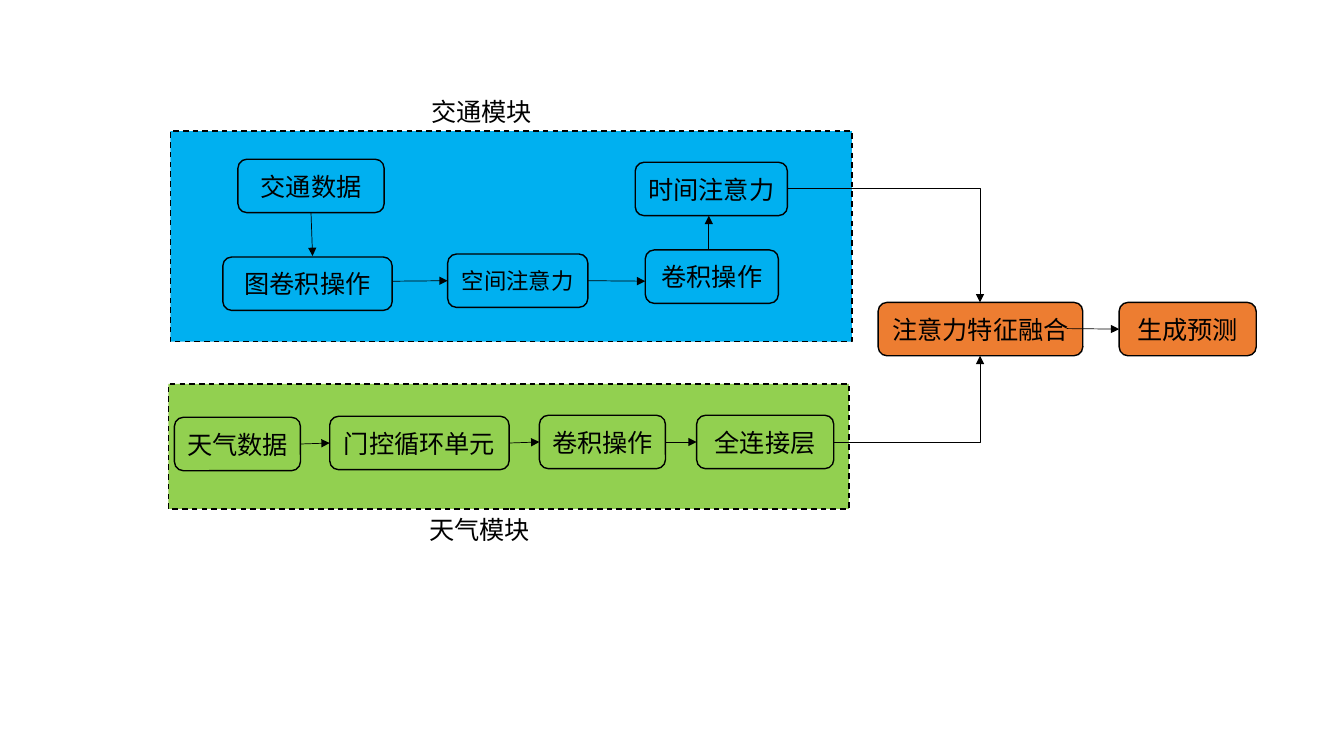
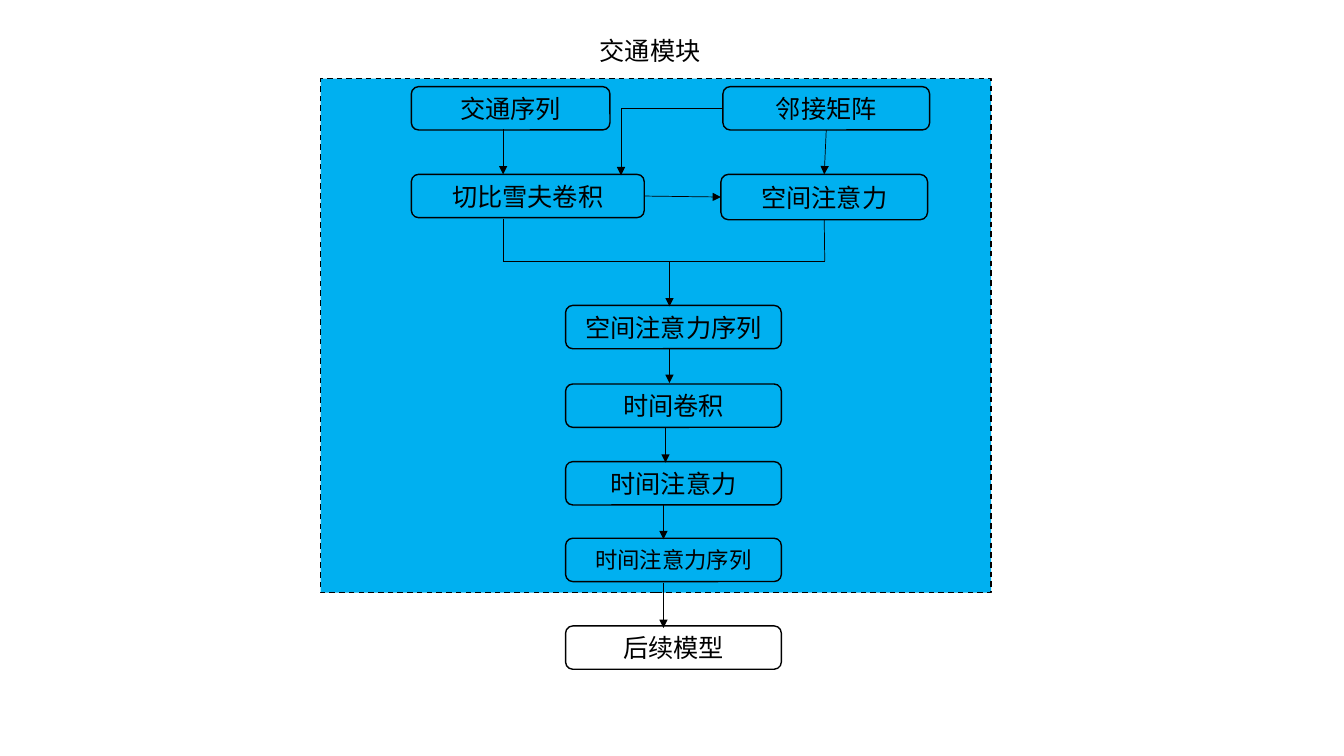
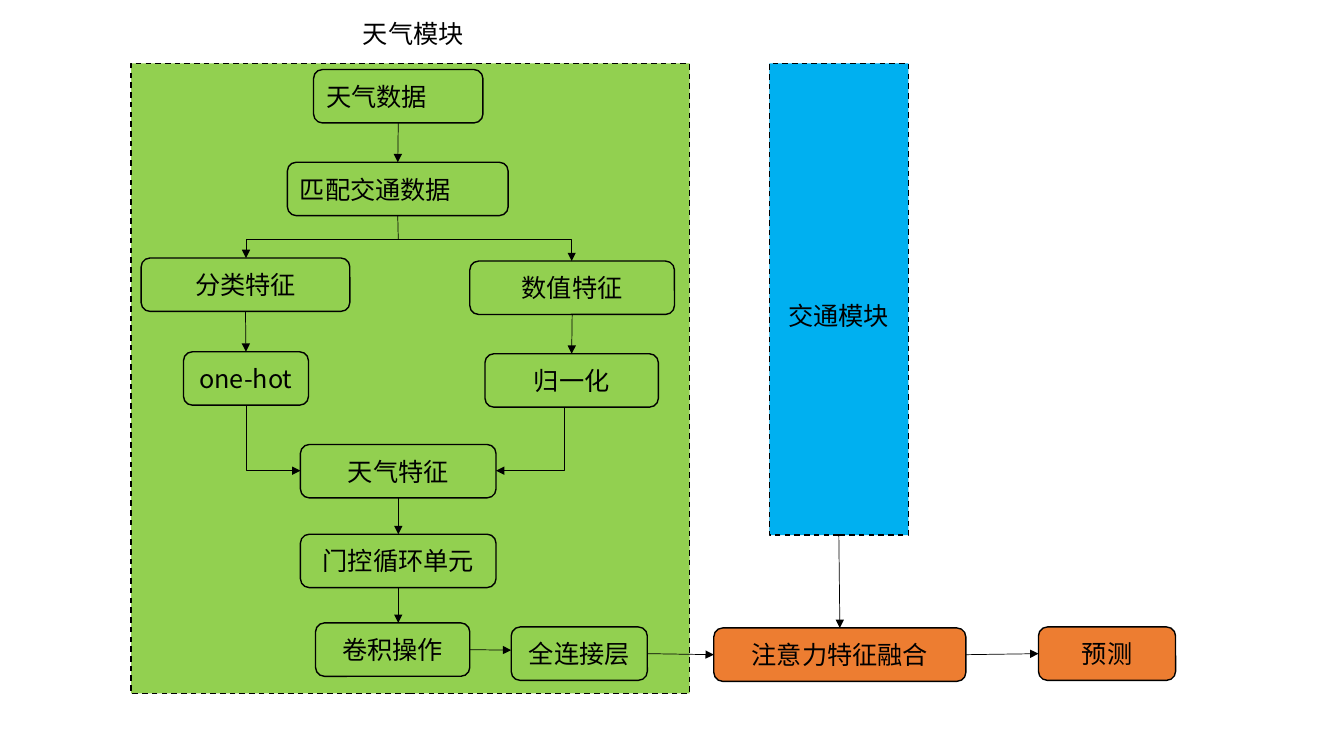
from dataclasses import dataclass, field
from typing import Optional

from lxml.etree import SubElement
from pptx import Presentation
from pptx.dml.color import RGBColor
from pptx.enum.dml import MSO_LINE
from pptx.enum.shapes import MSO_CONNECTOR, MSO_SHAPE
from pptx.enum.text import MSO_ANCHOR, MSO_AUTO_SIZE, PP_ALIGN
from pptx.oxml.ns import qn
from pptx.util import Pt

PX = 9144  # EMU per px, 100 px to the inch
FONT = "Noto Sans CJK SC"
COLORS = {"ink": "000000", "traffic": "00B0F0", "weather": "92D050", "fusion": "ED7D31"}
JOIN_REACH = 2  # px within which an arrow end snaps to the middle of a side


@dataclass
class Box:
    x: int
    y: int
    w: int
    h: int
    text: str = ""
    fill: Optional[str] = None
    size: int = 18
    left: bool = False

    def side_middles(self) -> list[tuple[float, float]]:
        """Top, left, bottom, right: the order of the connection sites."""
        cx, cy = self.x + self.w / 2, self.y + self.h / 2
        return [(cx, self.y), (self.x, cy), (cx, self.y + self.h), (self.x + self.w, cy)]


@dataclass
class Label:
    x: int
    y: int
    text: str


@dataclass
class Link:
    x1: int
    y1: int
    x2: int
    y2: int
    head: bool = False
    tail: bool = True


@dataclass
class Diagram:
    panels: list[Box]
    nodes: list[Box]
    labels: list[Label]
    links: list[Link]
    corners: list[Link] = field(default_factory=list)


def rgb(name: str) -> RGBColor:
    return RGBColor.from_string(COLORS[name])


def add_text(tf, text: str, size: int = 18, align=PP_ALIGN.LEFT) -> None:
    p = tf.paragraphs[0]
    p.alignment = align
    r = p.add_run()
    r.text = text
    r.font.size = Pt(size)
    r.font.name = FONT
    r.font.color.rgb = rgb("ink")
    SubElement(r.font._element, qn("a:ea")).set("typeface", FONT)


def add_box(s, box: Box, kind, dashed: bool = False):
    sp = s.shapes.add_shape(kind, *(v * PX for v in (box.x, box.y, box.w, box.h)))
    sp.shadow.inherit = False
    if box.fill:
        sp.fill.solid()
        sp.fill.fore_color.rgb = rgb(box.fill)
    else:
        sp.fill.background()
    sp.line.color.rgb = rgb("ink")
    sp.line.width = Pt(1)
    if dashed:
        sp.line.dash_style = MSO_LINE.DASH
    if box.text:
        tf = sp.text_frame
        tf.word_wrap = box.left
        tf.vertical_anchor = MSO_ANCHOR.MIDDLE
        add_text(tf, box.text, box.size, PP_ALIGN.LEFT if box.left else PP_ALIGN.CENTER)
    return sp


def add_label(s, label: Label) -> None:
    tf = s.shapes.add_textbox(label.x * PX, label.y * PX, 121 * PX, 40 * PX).text_frame
    tf.word_wrap = False
    tf.auto_size = MSO_AUTO_SIZE.SHAPE_TO_FIT_TEXT
    add_text(tf, label.text)


def add_link(s, link: Link, kind=MSO_CONNECTOR.STRAIGHT):
    cxn = s.shapes.add_connector(kind, *(v * PX for v in (link.x1, link.y1, link.x2, link.y2)))
    cxn.line.color.rgb = rgb("ink")
    cxn.line.width = Pt(0.5)
    ln = cxn.line._get_or_add_ln()
    for tag, wanted in (("a:headEnd", link.head), ("a:tailEnd", link.tail)):
        if wanted:
            SubElement(ln, qn(tag)).set("type", "triangle")
    SubElement(cxn._element.spPr, qn("a:effectLst"))
    return cxn


def add_corner(s, link: Link) -> None:
    """One right-angled bend: across from the first point, then up or down."""
    cxn = add_link(s, link, MSO_CONNECTOR.ELBOW)
    cxn._element.spPr.find(qn("a:prstGeom")).set("prst", "bentConnector2")


def join(connect, x: int, y: int, drawn: list) -> None:
    """Attach one end to the side whose middle it touches, if there is one."""
    for box, sp in drawn:
        for site, (mx, my) in enumerate(box.side_middles()):
            if abs(mx - x) <= JOIN_REACH and abs(my - y) <= JOIN_REACH:
                connect(sp, site)
                return


def draw(s, d: Diagram) -> None:
    drawn = [(b, add_box(s, b, MSO_SHAPE.RECTANGLE, dashed=True)) for b in d.panels]
    drawn += [(b, add_box(s, b, MSO_SHAPE.ROUNDED_RECTANGLE)) for b in d.nodes]
    for label in d.labels:
        add_label(s, label)
    for link in d.links:
        cxn = add_link(s, link)
        join(cxn.begin_connect, link.x1, link.y1, drawn)
        join(cxn.end_connect, link.x2, link.y2, drawn)
    for corner in d.corners:
        add_corner(s, corner)


OVERVIEW = Diagram(
    panels=[Box(169, 130, 676, 209, fill="traffic"), Box(167, 381, 675, 124, fill="weather")],
    nodes=[
        Box(236, 158, 145, 53, "交通数据"),
        Box(221, 255, 168, 53, "图卷积操作"),
        Box(444, 252, 139, 53, "空间注意力", size=16),
        Box(640, 248, 132, 53, "卷积操作"),
        Box(630, 161, 151, 53, "时间注意力"),
        Box(173, 414, 125, 53, "天气数据"),
        Box(327, 413, 178, 53, "门控循环单元"),
        Box(535, 412, 125, 53, "卷积操作"),
        Box(691, 412, 136, 53, "全连接层"),
        Box(871, 300, 203, 53, "注意力特征融合", "fusion"),
        Box(1110, 300, 136, 53, "生成预测", "fusion"),
    ],
    labels=[Label(418, 91, "交通模块"), Label(416, 505, "天气模块")],
    links=[
        Link(310, 211, 310, 254),
        Link(390, 279, 444, 279),
        Link(582, 279, 640, 279),
        Link(703, 248, 703, 214),
        Link(298, 440, 327, 440),
        Link(505, 438, 536, 439),
        Link(661, 439, 691, 439),
        Link(1058, 326, 1110, 326),
    ],
    corners=[Link(782, 187, 972, 300), Link(827, 439, 972, 353)],
)

TRAFFIC_STEPS = [
    (303, "空间注意力序列", 18),
    (381, "时间卷积", 18),
    (458, "时间注意力", 18),
    (534, "时间注意力序列", 16),
    (621, "后续模型", 18),
]
TRAFFIC = Diagram(
    panels=[Box(318, 78, 665, 510, fill="traffic")],
    nodes=[
        Box(408, 86, 197, 43, "交通序列"),
        Box(717, 86, 205, 43, "邻接矩阵"),
        Box(408, 173, 231, 43, "切比雪夫卷积"),
        Box(715, 173, 205, 45, "空间注意力"),
        *(Box(561, y, 214, 43, text, size=size) for y, text, size in TRAFFIC_STEPS),
    ],
    labels=[Label(585, 30, "交通模块")],
    links=[
        Link(499, 128, 499, 173),
        Link(818, 129, 818, 174),
        Link(640, 195, 717, 195),
        Link(499, 217, 499, 259, tail=False),
        Link(499, 259, 818, 259, tail=False),
        Link(818, 218, 818, 259, tail=False),
        Link(664, 259, 664, 304),
        Link(664, 346, 664, 380),
        Link(660, 425, 660, 459),
        Link(658, 501, 658, 535),
        Link(658, 578, 658, 623),
    ],
    corners=[Link(717, 108, 616, 174)],
)

WEATHER = Diagram(
    panels=[Box(130, 63, 554, 625, fill="weather"), Box(763, 63, 138, 468, fill="traffic")],
    nodes=[
        Box(311, 69, 168, 53, "天气数据", left=True),
        Box(285, 161, 219, 53, "匹配交通数据", left=True),
        Box(140, 256, 207, 53, "分类特征"),
        Box(466, 259, 203, 53, "数值特征"),
        Box(182, 349, 124, 53, "one-hot"),
        Box(481, 351, 172, 53, "归一化"),
        Box(298, 441, 194, 53, "天气特征"),
        Box(298, 530, 194, 53, "门控循环单元"),
        Box(313, 618, 153, 53, "卷积操作"),
        Box(507, 622, 135, 53, "全连接层"),
        Box(708, 623, 250, 53, "注意力特征融合", "fusion"),
        Box(1030, 622, 136, 53, "预测", "fusion"),
    ],
    labels=[Label(350, 13, "天气模块"), Label(772, 293, "交通模块")],
    links=[
        Link(395, 122, 395, 163),
        Link(395, 214, 395, 237, tail=False),
        Link(244, 309, 244, 349),
        Link(567, 312, 567, 351),
        Link(395, 494, 395, 530),
        Link(395, 583, 395, 618),
        Link(466, 645, 507, 645),
        Link(642, 649, 708, 650),
        Link(832, 531, 833, 623),
        Link(959, 650, 1028, 650),
    ],
    corners=[
        Link(395, 237, 244, 256),
        Link(395, 237, 567, 259),
        Link(298, 467, 244, 402, head=True, tail=False),
        Link(492, 467, 560, 404, head=True, tail=False),
    ],
)


def main() -> None:
    prs = Presentation()
    prs.slide_width, prs.slide_height = 1333 * PX, 750 * PX
    for diagram in (OVERVIEW, TRAFFIC, WEATHER):
        draw(prs.slides.add_slide(prs.slide_layouts[6]), diagram)
    prs.save("out.pptx")


if __name__ == "__main__":
    main()
